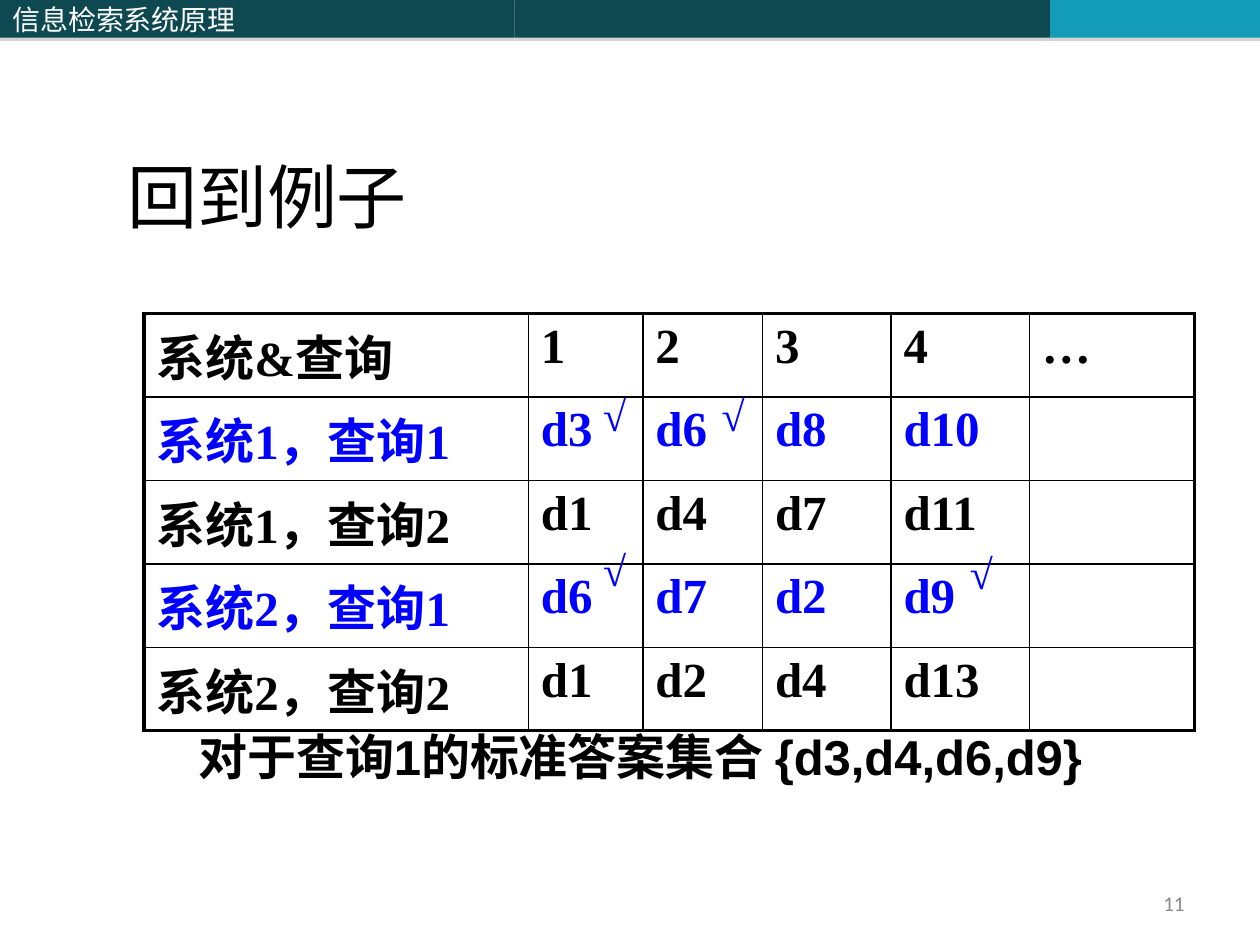
from lxml import etree
from pptx import Presentation
from pptx import util as u
from pptx.dml.color import RGBColor
from pptx.enum import shapes, text
from pptx.oxml import ns

COLORS = {
    "dark_teal": "0E4851",
    "light_teal": "139CB7",
    "shadow": "808080",
    "black": "000000",
    "blue": "0000FF",
    "white": "FFFFFF",
    "gray": "898989",
}
SERIF = "Times New Roman"
CHINESE = "Noto Sans CJK SC"

COLUMN_WIDTHS = [7.75, 2.31, 2.41, 2.59, 2.79, 3.33]
ROW_HEIGHT = 1.68
ROWS = [
    ["系统&查询", "1", "2", "3", "4", "…"],
    ["系统1，查询1", "d3", "d6", "d8", "d10", ""],
    ["系统1，查询2", "d1", "d4", "d7", "d11", ""],
    ["系统2，查询1", "d6", "d7", "d2", "d9", ""],
    ["系统2，查询2", "d1", "d2", "d4", "d13", ""],
]
QUERY_1_ROWS = (1, 3)
TICKS = [(11.91, 10.85), (11.91, 7.72), (19.3, 10.92), (14.3, 7.72)]


def rgb(color):
    return RGBColor.from_string(COLORS[color])


def add_element(parent, tag, **attributes):
    return etree.SubElement(parent, ns.qn(tag), attributes)


def write(text_frame, content, size, font, color, bold=False, align=text.PP_ALIGN.LEFT):
    text_frame.text = content
    paragraph = text_frame.paragraphs[0]
    paragraph.alignment = align
    for run in paragraph.runs:
        run.font.size = u.Pt(size)
        run.font.name = font
        run.font.bold = bold
        run.font.color.rgb = rgb(color)
        add_element(run.font._element, "a:ea", typeface=CHINESE)


def add_bar(slide, left, width, color):
    shape = slide.shapes.add_shape(
        shapes.MSO_SHAPE.RECTANGLE, u.Cm(left), 0, u.Cm(width), u.Cm(0.76))
    shape.fill.solid()
    shape.fill.fore_color.rgb = rgb(color)
    shape.line.fill.background()
    # A faint shadow just below the bar
    effects = add_element(shape._element.spPr, "a:effectLst")
    shadow = add_element(effects, "a:outerShdw", dist=str(u.Pt(1.8)),
                         dir="5400000", rotWithShape="0")
    shade = add_element(shadow, "a:srgbClr", val=COLORS["shadow"])
    add_element(shade, "a:alpha", val="35000")
    return shape


def add_text(slide, left, top, width, height, content, size, font, color,
             wrap=True, anchor=text.MSO_ANCHOR.TOP, **style):
    box = slide.shapes.add_textbox(u.Cm(left), u.Cm(top), u.Cm(width), u.Cm(height))
    box.text_frame.word_wrap = wrap
    box.text_frame.vertical_anchor = anchor
    write(box.text_frame, content, size, font, color, **style)


def set_title(slide, content):
    title = slide.shapes.title
    title.left, title.top = u.Cm(2.31), u.Cm(1.73)
    title.width, title.height = u.Cm(22), u.Cm(3.18)
    title.text_frame.auto_size = text.MSO_AUTO_SIZE.NONE
    title.text_frame.vertical_anchor = text.MSO_ANCHOR.BOTTOM
    write(title.text_frame, content, 40, SERIF, "black")


def set_borders(cell, widths):
    properties = cell._tc.get_or_add_tcPr()
    for index, (side, width) in enumerate(widths.items()):
        line = etree.Element(ns.qn(f"a:ln{side}"), w=str(u.Pt(width)))
        fill = add_element(line, "a:solidFill")
        add_element(fill, "a:srgbClr", val=COLORS["black"])
        properties.insert(index, line)


def add_results_table(slide):
    row_count, column_count = len(ROWS), len(COLUMN_WIDTHS)
    table = slide.shapes.add_table(
        row_count, column_count, u.Cm(2.9), u.Cm(6.32),
        u.Cm(sum(COLUMN_WIDTHS)), u.Cm(ROW_HEIGHT * row_count)).table
    table.first_row = False
    table.horz_banding = False
    for column, width in zip(table.columns, COLUMN_WIDTHS):
        column.width = u.Cm(width)
    for row_index, values in enumerate(ROWS):
        table.rows[row_index].height = u.Cm(ROW_HEIGHT)
        color = "blue" if row_index in QUERY_1_ROWS else "black"
        for column_index, value in enumerate(values):
            cell = table.cell(row_index, column_index)
            cell.fill.background()
            if value:
                write(cell.text_frame, value, 28, SERIF, color, bold=True)
            # The outer frame is heavier than the inner grid
            outer = {
                "L": column_index == 0,
                "R": column_index == column_count - 1,
                "T": row_index == 0,
                "B": row_index == row_count - 1,
            }
            set_borders(cell, {side: 2.25 if edge else 1 for side, edge in outer.items()})


def main():
    presentation = Presentation()
    presentation.slide_width, presentation.slide_height = u.Cm(25.4), u.Cm(19.05)
    slide = presentation.slides.add_slide(presentation.slide_layouts[5])

    # Header band
    course_bar = add_bar(slide, 0, 10.37, "dark_teal")
    course_bar.text_frame.vertical_anchor = text.MSO_ANCHOR.MIDDLE
    write(course_bar.text_frame, "信息检索系统原理", 16, CHINESE, "white")
    add_bar(slide, 10.37, 10.8, "dark_teal")
    add_bar(slide, 21.17, 4.23, "light_teal")

    # Title and table
    set_title(slide, "回到例子")
    add_results_table(slide)

    # Slide number and standard answer
    add_text(slide, 18.85, 17.58, 5.28, 1.27, "11", 12, "Calibri", "gray",
             anchor=text.MSO_ANCHOR.MIDDLE, align=text.PP_ALIGN.RIGHT)
    add_text(slide, 1.5, 14.53, 22.81, 1.45, "对于查询1的标准答案集合 {d3,d4,d6,d9}",
             28, "Arial", "black", bold=True, align=text.PP_ALIGN.CENTER)

    # Ticks on the relevant documents
    for left, top in TICKS:
        add_text(slide, left, top, 0.99, 1.27, "√", 24, SERIF, "blue", wrap=False)

    presentation.save("out.pptx")


if __name__ == "__main__":
    main()
